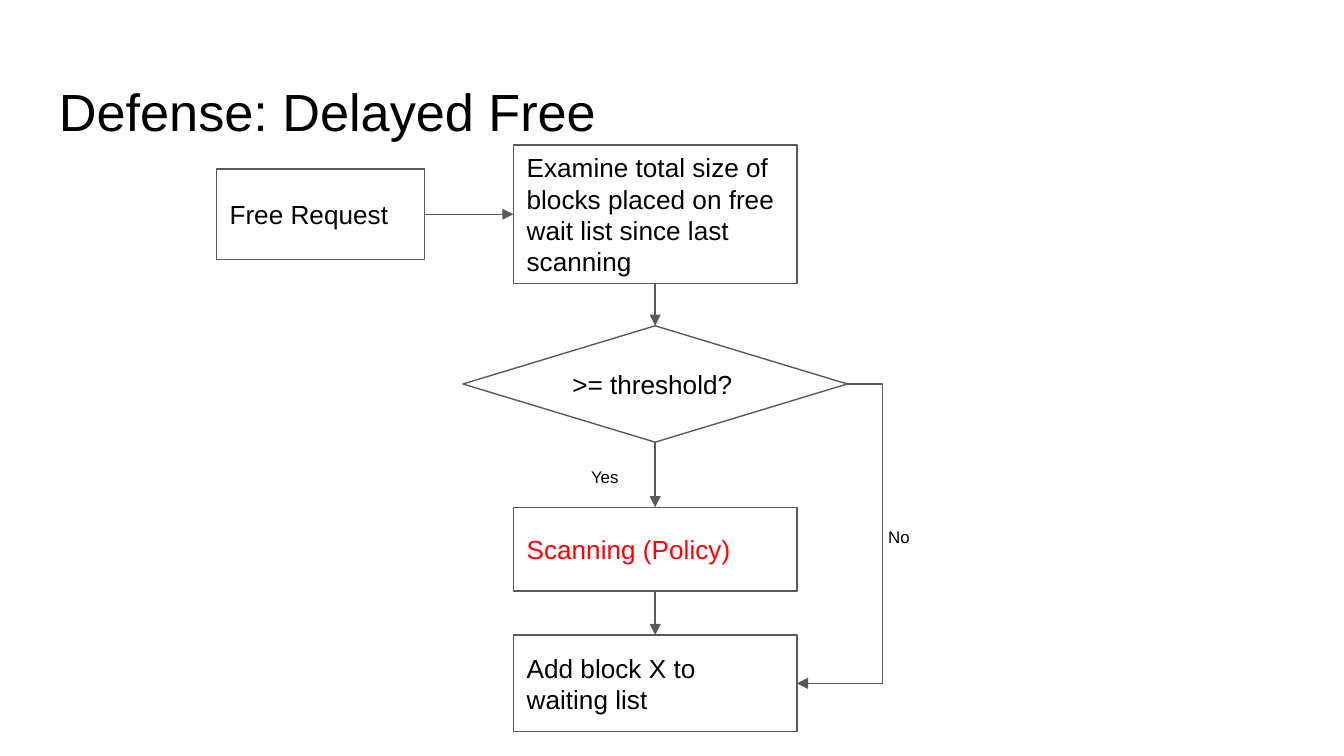
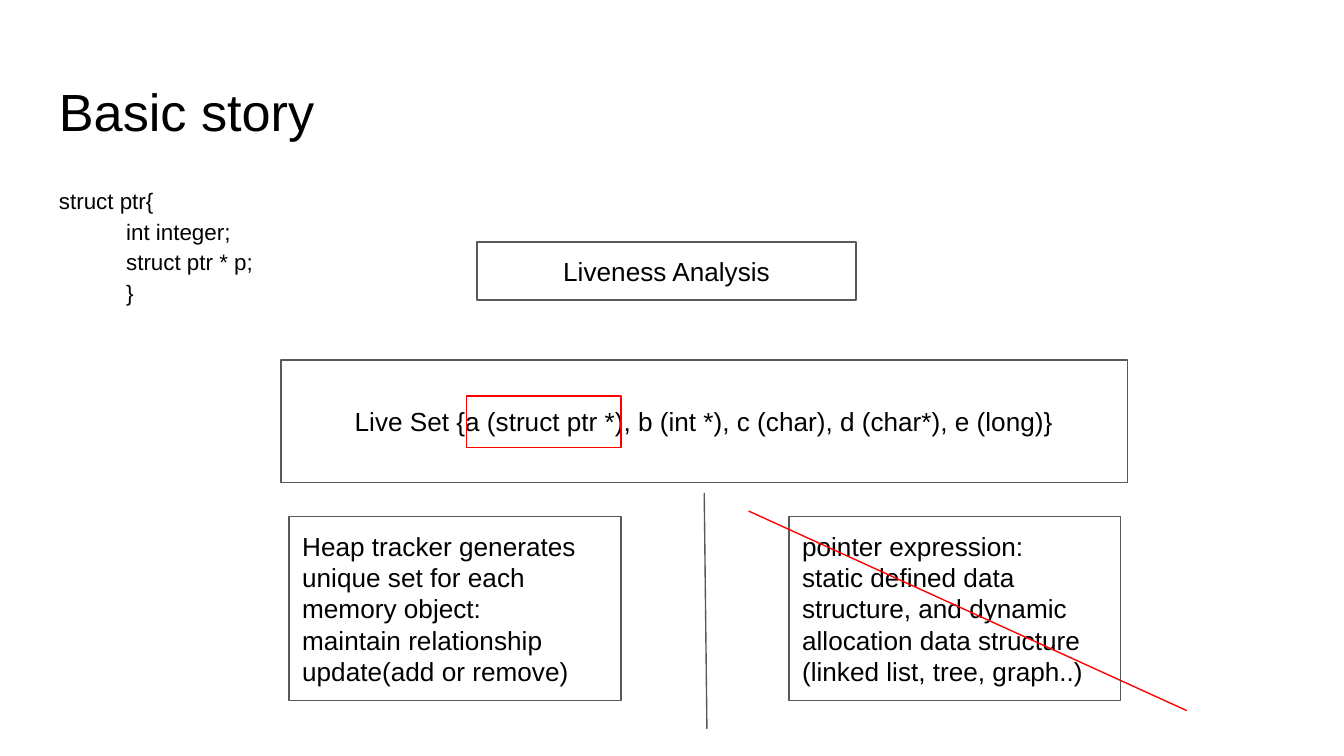
from lxml.etree import SubElement
from pptx import Presentation
from pptx.dml.color import RGBColor
from pptx.enum.shapes import MSO_CONNECTOR, MSO_SHAPE
from pptx.enum.text import MSO_ANCHOR, PP_ALIGN
from pptx.oxml.ns import qn
from pptx.util import Inches, Pt

COLORS = {"ink": "000000", "outline": "595959", "accent": "FF0000"}
FONT = "Arial"
WIDTH, HEIGHT = Inches(10), Inches(5.625)
COLUMNS = ROWS = 100
TOP, LEFT, BOTTOM, RIGHT = range(4)
TITLE_AREA = (3.4, 8.7, 93.2, 11.2)

FLOW_TITLE = "Defense: Delayed Free"
FLOW_AXIS = 48.75
FLOW_STEPS = [
    ("Examine total size of blocks placed on free wait list since last scanning",
     MSO_SHAPE.RECTANGLE, 21.1, 19.2, 18.3, "ink"),
    (">= threshold?", MSO_SHAPE.FLOWCHART_DECISION, 28.6, 43.1, 15.4, "ink"),
    ("Scanning (Policy)", MSO_SHAPE.RECTANGLE, 21.1, 67.1, 11.1, "accent"),
    ("Add block X to waiting list", MSO_SHAPE.RECTANGLE, 21.1, 84, 12.8, "ink"),
]
REQUEST = ("Free Request", (16.1, 22.35, 15.5, 12))
BRANCH_LABELS = [("No", (65.1, 68.3, 5.9, 8.9)), ("Yes", (43, 60.4, 4.7, 4.4))]
BYPASS_BEND = -69500

STORY_TITLE = "Basic story"
STRUCT_CODE = ["struct ptr{", "int integer;", "struct ptr * p;", "}"]
STRUCT_AREA = (3.4, 22.4, 93.2, 74)
STORY_BOXES = [
    (["Liveness Analysis"], (35.5, 32, 28.2, 7.7), PP_ALIGN.CENTER),
    (["Live Set {a (struct ptr *), b (int *), c (char), d (char*), e (long)}"],
     (20.9, 47.6, 63, 16.2), PP_ALIGN.CENTER),
]
HIGHLIGHT_AREA = (34.7, 52.4, 11.5, 6.8)
APPROACHES = [
    ["Heap tracker generates unique set for each memory object:",
     "maintain relationship", "update(add or remove)"],
    ["pointer expression:",
     "static defined data structure, and dynamic allocation data structure "
     "(linked list, tree, graph..)"],
]
APPROACH_AREA = (21.5, 68.3, 24.7, 24.4)
APPROACH_STEP = 37.2
DIVIDER = (52.4, 65.2, 52.6, 96.4)
STRIKE = (55.7, 67.6, 88.3, 94)


def rgb(color):
    return RGBColor.from_string(COLORS[color])


def place(area):
    x, y, across, down = area
    return (round(x * WIDTH / COLUMNS), round(y * HEIGHT / ROWS),
            round(across * WIDTH / COLUMNS), round(down * HEIGHT / ROWS))


def write(holder, lines, size, color="ink", align=PP_ALIGN.LEFT):
    frame = holder.text_frame
    frame.word_wrap = True
    frame.margin_left = frame.margin_right = Inches(0.1)
    frame.margin_top = frame.margin_bottom = Inches(0.1)
    frame.text = "\n".join(lines)
    for paragraph in frame.paragraphs:
        paragraph.alignment = align
        paragraph.font.name = FONT
        paragraph.font.size = Pt(size)
        paragraph.font.color.rgb = rgb(color)
    return frame


def add_label(slide, area, lines, size):
    frame = write(slide.shapes.add_textbox(*place(area)), lines, size)
    frame.vertical_anchor = MSO_ANCHOR.TOP
    return frame


def add_box(slide, area, lines=(), outline="outline", color="ink",
            align=PP_ALIGN.LEFT, geometry=MSO_SHAPE.RECTANGLE):
    box = slide.shapes.add_shape(geometry, *place(area))
    box.shadow.inherit = False
    box.fill.background()
    box.line.color.rgb = rgb(outline)
    box.line.width = Pt(0.75)
    if lines:
        write(box, lines, 14, color, align).vertical_anchor = MSO_ANCHOR.MIDDLE
    return box


def add_line(slide, ends=(0, 0, 0, 0), color="outline", kind=MSO_CONNECTOR.STRAIGHT):
    line = slide.shapes.add_connector(kind, *place(ends))
    line.line.color.rgb = rgb(color)
    line.line.width = Pt(0.75)
    SubElement(line._element.spPr, qn("a:effectLst"))
    return line


def add_arrow(slide, source, source_side, target, target_side,
              kind=MSO_CONNECTOR.STRAIGHT):
    arrow = add_line(slide, kind=kind)
    arrow.begin_connect(source, source_side)
    arrow.end_connect(target, target_side)
    SubElement(arrow.line._get_or_add_ln(), qn("a:tailEnd"), type="triangle")
    return arrow


def add_titled_slide(deck, title):
    slide = deck.slides.add_slide(deck.slide_layouts[6])
    slide.background.fill.solid()
    slide.background.fill.fore_color.rgb = RGBColor.from_string("FFFFFF")
    add_label(slide, TITLE_AREA, [title], 28)
    return slide


def build_flow(deck):
    slide = add_titled_slide(deck, FLOW_TITLE)
    steps = [add_box(slide, (FLOW_AXIS - across / 2, top, across, down), [text],
                     color=color, geometry=geometry)
             for text, geometry, across, top, down, color in FLOW_STEPS]
    for step, following in zip(steps, steps[1:]):
        add_arrow(slide, step, BOTTOM, following, TOP)
    request_text, request_area = REQUEST
    request = add_box(slide, request_area, [request_text])
    add_arrow(slide, request, RIGHT, steps[0], LEFT)
    bypass = add_arrow(slide, steps[1], RIGHT, steps[3], RIGHT, MSO_CONNECTOR.ELBOW)
    bends = bypass._element.spPr.find(qn("a:prstGeom")).find(qn("a:avLst"))
    SubElement(bends, qn("a:gd"), name="adj1", fmla=f"val {BYPASS_BEND}")
    for text, area in BRANCH_LABELS:
        add_label(slide, area, [text], 9)


def build_story(deck):
    slide = add_titled_slide(deck, STORY_TITLE)
    code = add_label(slide, STRUCT_AREA, STRUCT_CODE, 12)
    for paragraph in code.paragraphs:
        paragraph.line_spacing = 1.15
    for member in code.paragraphs[1:]:
        properties = member._p.get_or_add_pPr()
        properties.set("marL", str(Inches(0.5)))
        properties.set("indent", "0")
    for lines, area, align in STORY_BOXES:
        add_box(slide, area, lines, align=align)
    add_box(slide, HIGHLIGHT_AREA, outline="accent")
    left, *rest = APPROACH_AREA
    for index, lines in enumerate(APPROACHES):
        add_box(slide, (left + index * APPROACH_STEP, *rest), lines)
    add_line(slide, DIVIDER)
    add_line(slide, STRIKE, "accent")


def main():
    """Build the delayed-free flowchart and the liveness story."""
    deck = Presentation()
    deck.slide_width, deck.slide_height = WIDTH, HEIGHT
    build_flow(deck)
    build_story(deck)
    deck.save("out.pptx")


if __name__ == "__main__":
    main()
